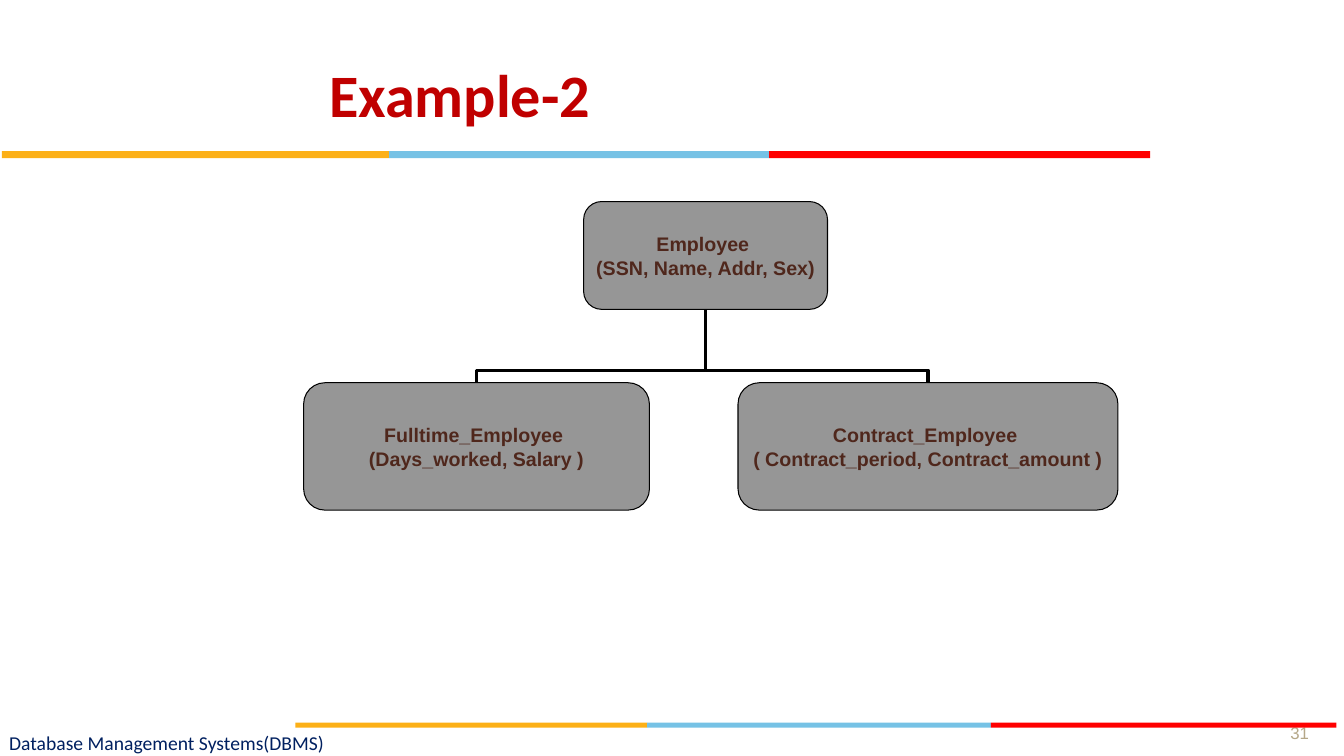
from dataclasses import dataclass

import pptx
import pptx.dml.color
import pptx.enum.shapes
import pptx.enum.text
import pptx.oxml
import pptx.oxml.ns
import pptx.util

Pt = pptx.util.Pt
PP_ALIGN = pptx.enum.text.PP_ALIGN
ANCHOR = pptx.enum.text.MSO_ANCHOR
SHAPE = pptx.enum.shapes.MSO_SHAPE


@dataclass(frozen=True)
class Theme:
    title: str = "C00000"
    box: str = "969696"
    box_text: str = "4F271C"
    line: str = "000000"
    number: str = "B5A788"
    footer: str = "002060"
    bands: tuple = ("FCB017", "76C2E5", "FF0000")
    heading_font: str = "Calibri"
    body_font: str = "Arial"
    title_size: int = 43
    body_size: int = 14
    number_size: int = 12


THEME = Theme()


def rgb(value):
    return pptx.dml.color.RGBColor.from_string(value)


def set_text(tf, text, *, font, size, color, bold=False, align=PP_ALIGN.LEFT,
             anchor=ANCHOR.MIDDLE, wrap=True, insets=(7.2, 3.6)):
    tf.word_wrap = wrap
    tf.vertical_anchor = anchor
    tf.margin_left = tf.margin_right = Pt(insets[0])
    tf.margin_top = tf.margin_bottom = Pt(insets[1])
    for i, line in enumerate(text.split("\n")):
        p = tf.paragraphs[0] if i == 0 else tf.add_paragraph()
        p.alignment = align
        r = p.add_run()
        r.text = line
        r.font.name = font
        r.font.size = Pt(size)
        r.font.bold = bold
        r.font.color.rgb = rgb(color)


def add_title(s, text, x, y, w, h):
    sp = s.shapes.title
    sp.left, sp.top, sp.width, sp.height = Pt(x), Pt(y), Pt(w), Pt(h)
    set_text(sp.text_frame, text, font=THEME.heading_font,
             size=THEME.title_size, color=THEME.title, bold=True)


def add_label(s, text, x, y, w, h, **fmt):
    sp = s.shapes.add_textbox(Pt(x), Pt(y), Pt(w), Pt(h))
    set_text(sp.text_frame, text, **fmt)


def add_filled(s, kind, x, y, w, h, fill):
    sp = s.shapes.add_shape(kind, Pt(x), Pt(y), Pt(w), Pt(h))
    sp.shadow.inherit = False
    sp.fill.solid()
    sp.fill.fore_color.rgb = rgb(fill)
    sp.line.fill.background()
    return sp


def add_entity(s, text, x, y, w, h):
    sp = add_filled(s, SHAPE.ROUNDED_RECTANGLE, x, y, w, h, THEME.box)
    sp.adjustments[0] = 0.167
    sp.line.color.rgb = rgb(THEME.line)
    sp.line.width = Pt(0.75)
    set_text(sp.text_frame, text, font=THEME.body_font, size=THEME.body_size,
             color=THEME.box_text, bold=True, align=PP_ALIGN.CENTER,
             wrap=False, insets=(5, 2.2))
    return sp


def add_branch(s, child, parent):
    x1, y1 = child.left + child.width // 2, child.top
    x2, y2 = parent.left + parent.width // 2, parent.top + parent.height
    half_w, half_h = (y1 - y2) // 2, abs(x2 - x1) // 2
    cx, cy = (x1 + x2) // 2, (y1 + y2) // 2
    side = 1 if x1 > x2 else -1
    cn = s.shapes.add_connector(
        pptx.enum.shapes.MSO_CONNECTOR.ELBOW,
        cx + side * half_w, cy - half_h, cx - side * half_w, cy + half_h)
    cn.line.color.rgb = rgb(THEME.line)
    cn.line.width = Pt(2.25)
    qn = pptx.oxml.ns.qn
    sp_pr = cn._element.spPr
    sp_pr.find(qn("a:xfrm")).set("rot", str((90 if side > 0 else 270) * 60000))
    guides = sp_pr.find(qn("a:prstGeom")).find(qn("a:avLst"))
    guides.append(pptx.oxml.parse_xml(
        f'<a:gd {pptx.oxml.ns.nsdecls("a")} name="adj1" fmla="val 17200"/>'))
    sp_pr.append(pptx.oxml.parse_xml(
        f'<a:effectLst {pptx.oxml.ns.nsdecls("a")}/>'))


def add_stripe(s, edges, y, h):
    for left, right, color in zip(edges, edges[1:], THEME.bands):
        add_filled(s, SHAPE.RECTANGLE, left, y, right - left, h, color)


def main():
    prs = pptx.Presentation()
    prs.slide_width, prs.slide_height = Pt(960), Pt(540)
    s = prs.slides.add_slide(prs.slide_layouts[5])

    add_title(s, "Example-2", 228, 21.6, 576, 90)
    employee = add_entity(
        s, "Employee \n(SSN, Name, Addr, Sex)", 416.9, 144, 174.2, 77)
    fulltime = add_entity(
        s, "Fulltime_Employee \n(Days_worked, Salary )", 216.9, 273.4, 247, 91)
    contract = add_entity(
        s, "Contract_Employee \n( Contract_period, Contract_amount )",
        527.2, 273.4, 271.4, 91)
    for child in (contract, fulltime):
        add_branch(s, child, employee)

    add_label(s, "31", 904.3, 496.8, 48.2, 37.4, font=THEME.body_font,
              size=THEME.number_size, color=THEME.number,
              align=PP_ALIGN.CENTER, anchor=ANCHOR.BOTTOM)
    add_stripe(s, (1.4, 278, 549.4, 821.5), 108, 5)
    add_stripe(s, (211, 462.2, 707.8, 954.7), 516.2, 3.6)
    add_label(s, "Database Management Systems(DBMS)", 6.5, 520.6, 357, 19.4,
              font=THEME.heading_font, size=THEME.body_size,
              color=THEME.footer, insets=(0, 0))
    prs.save("out.pptx")


if __name__ == "__main__":
    main()
